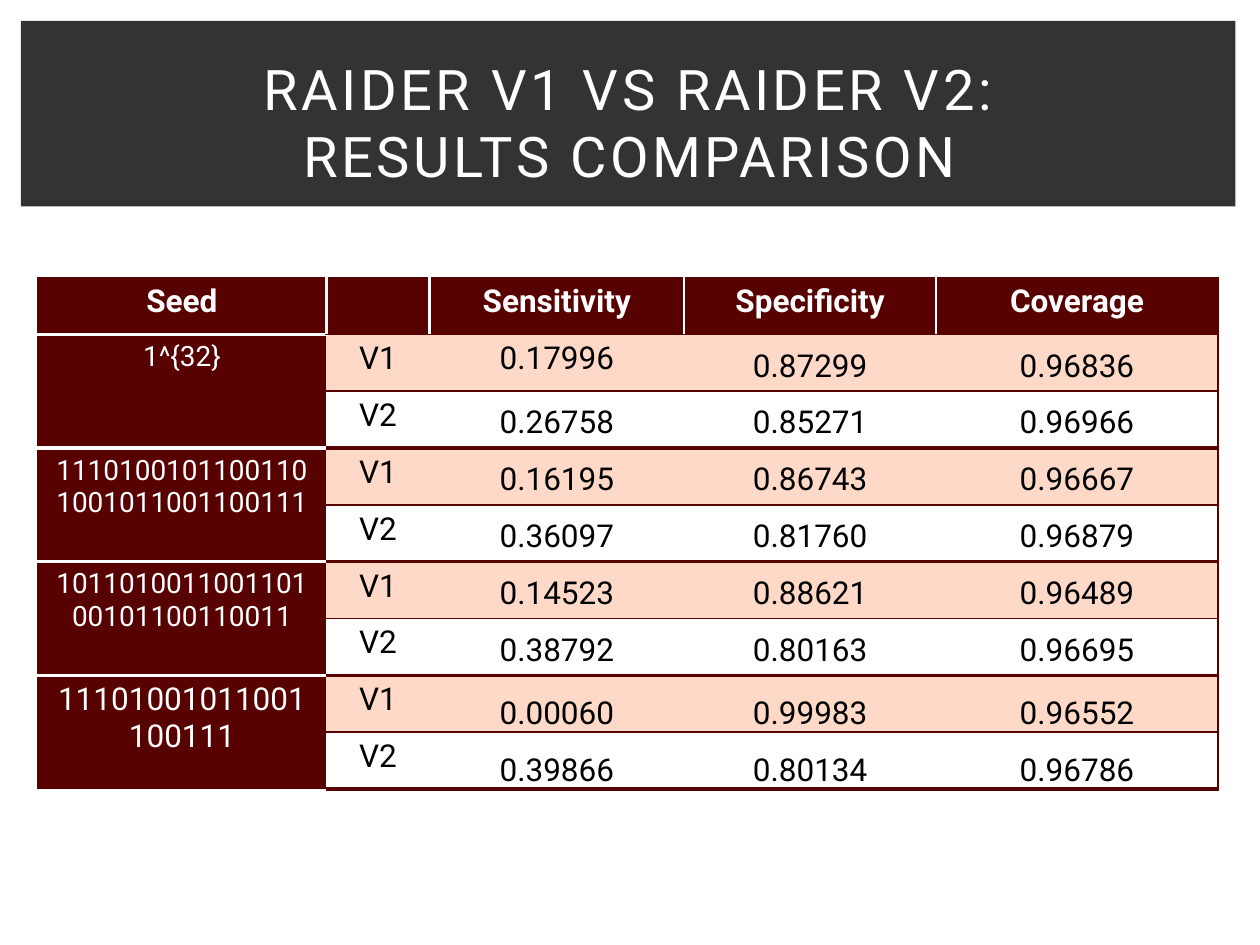
from lxml.etree import SubElement
from pptx import Presentation
from pptx.dml.color import RGBColor
from pptx.enum.shapes import MSO_SHAPE
from pptx.enum.text import MSO_ANCHOR as Anchor, PP_ALIGN as Align
from pptx.oxml.ns import qn
from pptx.util import Pt

FONT = "Roboto"
MAROON, PEACH, WHITE, BLACK, CHARCOAL = "580101", "FFD9C8", "FFFFFF", "000000", "333333"

TITLE = ["RAIDER V1 VS RAIDER V2:", "RESULTS COMPARISON"]
HEADERS = ["Seed", "", "Sensitivity", "Specificity", "Coverage"]
# seed, text size, V1 values, V2 values
SEEDS = [
    ("1^{32}", 16,
     ["0.17996", "0.87299", "0.96836"], ["0.26758", "0.85271", "0.96966"]),
    ("11101001011001101001011001100111", 16,
     ["0.16195", "0.86743", "0.96667"], ["0.36097", "0.81760", "0.96879"]),
    ("101101001100110100101100110011", 16,
     ["0.14523", "0.88621", "0.96489"], ["0.38792", "0.80163", "0.96695"]),
    ("11101001011001100111", 18,
     ["0.00060", "0.99983", "0.96552"], ["0.39866", "0.80134", "0.96786"]),
]
COLUMN_WIDTHS = [165, 59, 145.5, 144, 161]
ROW_HEIGHT = 32.5
ROW_COUNT = 1 + 2 * len(SEEDS)


def rgb(value):
    return RGBColor.from_string(value)


def add_panel(slide, left, top, width, height, color):
    shape = slide.shapes.add_shape(
        MSO_SHAPE.RECTANGLE, Pt(left), Pt(top), Pt(width), Pt(height))
    shape.shadow.inherit = False
    shape.fill.solid()
    shape.fill.fore_color.rgb = rgb(color)
    shape.line.fill.background()


def add_run(paragraph, text, size, color, bold=False):
    run = paragraph.add_run()
    run.text = text
    font = run.font
    font.name, font.size, font.bold = FONT, Pt(size), bold
    font.color.rgb = rgb(color)
    return run


def add_title(slide):
    box = slide.shapes.add_textbox(Pt(30), Pt(28), Pt(660), Pt(83))
    frame = box.text_frame
    frame.word_wrap = True
    frame.vertical_anchor = Anchor.MIDDLE
    paragraph = frame.paragraphs[0]
    paragraph.alignment = Align.CENTER
    for index, line in enumerate(TITLE):
        if index:
            paragraph.add_line_break()
        run = add_run(paragraph, line, 32, WHITE)
        run.font._element.set("spc", "200")


def horizontal_rule(edge, column):
    """Colour and width of the line above row number edge, or None."""
    starts_seed = edge % 2 == 1
    if edge == 0:
        return MAROON, 1
    if column == 0:
        if edge == ROW_COUNT:
            return MAROON, 1
        return (WHITE, 2.25) if starts_seed else None
    return MAROON, 2.25 if starts_seed and edge > 1 else 1


def vertical_rule(edge, row):
    """Colour and width of the line left of column number edge, or None."""
    if edge in (0, len(HEADERS)):
        return MAROON, 1
    if row == 0:
        return WHITE, 2.25 if edge == 1 else 1.5
    return None


def set_borders(cell, row, column):
    properties = cell._tc.get_or_add_tcPr()
    rules = [("a:lnL", vertical_rule(column, row)),
             ("a:lnR", vertical_rule(column + 1, row)),
             ("a:lnT", horizontal_rule(row, column)),
             ("a:lnB", horizontal_rule(row + 1, column))]
    for tag, rule in rules:
        line = SubElement(properties, qn(tag))
        if rule is None:
            SubElement(line, qn("a:noFill"))
            continue
        color, width = rule
        line.set("w", str(int(Pt(width))))
        SubElement(SubElement(line, qn("a:solidFill")), qn("a:srgbClr")).set("val", color)


def write_cell(cell, text, size, color, bold=False):
    paragraph = cell.text_frame.paragraphs[0]
    paragraph.alignment = Align.CENTER
    if text:
        add_run(paragraph, text, size, color, bold)


def add_results_table(slide):
    table = slide.shapes.add_table(
        ROW_COUNT, len(HEADERS), Pt(21.5), Pt(158.5),
        Pt(sum(COLUMN_WIDTHS)), Pt(ROW_HEIGHT * ROW_COUNT)).table
    for column, width in zip(table.columns, COLUMN_WIDTHS):
        column.width = Pt(width)
    for row_index, row in enumerate(table.rows):
        row.height = Pt(ROW_HEIGHT)
        for column_index, cell in enumerate(row.cells):
            set_borders(cell, row_index, column_index)
            dark = row_index == 0 or column_index == 0
            cell.fill.solid()
            cell.fill.fore_color.rgb = rgb(
                MAROON if dark else PEACH if row_index % 2 else WHITE)

    for column_index, header in enumerate(HEADERS):
        write_cell(table.cell(0, column_index), header, 18, WHITE, bold=True)

    for seed_index, (seed, size, *versions) in enumerate(SEEDS):
        first_row = 1 + 2 * seed_index
        seed_cell = table.cell(first_row, 0)
        seed_cell.merge(table.cell(first_row + 1, 0))
        write_cell(seed_cell, seed, size, WHITE)
        for offset, values in enumerate(versions):
            row_index = first_row + offset
            write_cell(table.cell(row_index, 1), f"V{offset + 1}", 18, BLACK)
            for column_index, value in enumerate(values, start=2):
                cell = table.cell(row_index, column_index)
                write_cell(cell, value, 18, BLACK)
                if (row_index, column_index) != (1, 2):
                    cell.vertical_anchor = Anchor.BOTTOM
                if seed_index == len(SEEDS) - 1:
                    cell.margin_left = cell.margin_right = cell.margin_top = Pt(0.75)
                    cell.margin_bottom = Pt(0)


def main():
    presentation = Presentation()
    presentation.slide_width, presentation.slide_height = Pt(720), Pt(540)
    slide = presentation.slides.add_slide(presentation.slide_layouts[6])
    add_panel(slide, 12, 12, 694, 106, CHARCOAL)
    add_panel(slide, 2, 127.5, 710, 412, WHITE)
    add_results_table(slide)
    add_title(slide)
    presentation.save("out.pptx")


if __name__ == "__main__":
    main()
